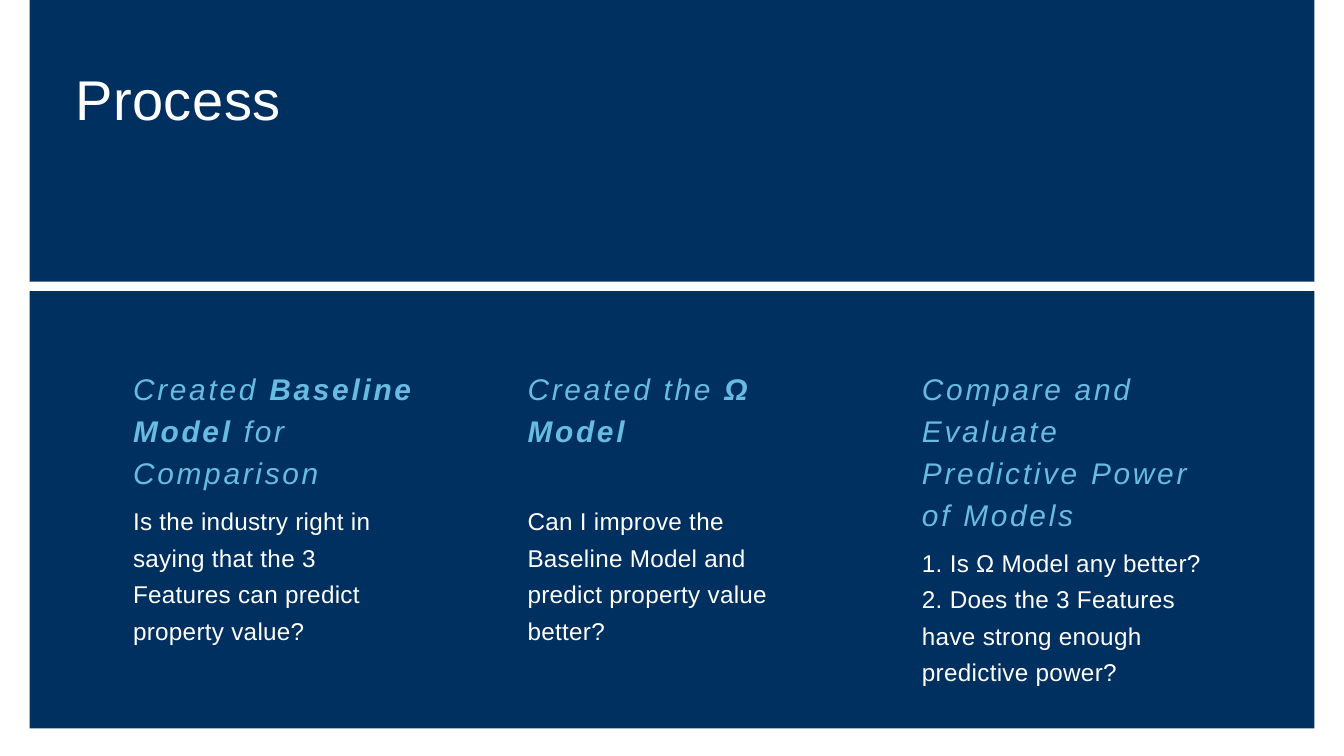
import pptx
import pptx.dml.color
import pptx.enum.shapes
import pptx.util
from dataclasses import dataclass
from pptx.util import Inches


@dataclass(frozen=True)
class Theme:
    font: str = "Arial"
    navy: str = "003060"
    white: str = "FFFFFF"
    sky: str = "68BBE3"
    title_size: float = 60
    heading_size: float = 32
    body_size: float = 26


THEME = Theme()

# Each column: heading runs as (text, bold), heading height, body paragraphs
COLUMNS = [
    ([("Created ", False), ("Baseline Model", True), (" for Comparison", False)], 1.8,
     ["Is the industry right in saying that the 3 Features can predict property value?"]),
    ([("Created the ", False), ("Ω Model", True)], 1.8,
     ["Can I improve the Baseline Model and predict property value better?"]),
    ([("Compare and Evaluate Predictive Power of Models", False)], 2.42,
     ["1. Is Ω Model any better?",
      "2. Does the 3 Features have strong enough predictive power?"]),
]


def add_panel(page, left, top, width, height, color):
    panel = page.shapes.add_shape(
        pptx.enum.shapes.MSO_SHAPE.RECTANGLE,
        Inches(left), Inches(top), Inches(width), Inches(height))
    panel.shadow.inherit = False
    panel.fill.solid()
    panel.fill.fore_color.rgb = pptx.dml.color.RGBColor.from_string(color)
    panel.line.fill.background()


def add_text(shapes, paragraphs, left, top, width, height, *, size, color,
             leading, tracking, italic=False):
    """Place paragraphs, each a list of (text, bold) runs."""
    box = shapes.add_textbox(Inches(left), Inches(top), Inches(width), Inches(height))
    frame = box.text_frame
    frame.word_wrap = True
    frame.margin_left = frame.margin_top = frame.margin_right = frame.margin_bottom = 0
    for index, runs in enumerate(paragraphs):
        para = frame.add_paragraph() if index else frame.paragraphs[0]
        para.line_spacing = pptx.util.Pt(leading)
        for text, bold in runs:
            span = para.add_run()
            span.text = text
            span.font.name = THEME.font
            span.font.size = pptx.util.Pt(size)
            span.font.bold = bold
            span.font.italic = italic
            span.font.color.rgb = pptx.dml.color.RGBColor.from_string(color)
            # Letter spacing is stored in hundredths of a point
            span._r.get_or_add_rPr().set("spc", str(round(tracking * 100)))


def add_title(page, left, top, width, height):
    add_text(page.shapes, [[("Process", False)]], left, top, width, height,
             size=THEME.title_size, color=THEME.white, leading=75, tracking=0.6)


def add_column(page, column, left, top, width):
    heading, heading_height, body = column
    group = page.shapes.add_group_shape()
    add_text(group.shapes, [heading], left, top, width, heading_height,
             size=THEME.heading_size, color=THEME.sky, leading=44.8,
             tracking=2.9, italic=True)
    add_text(group.shapes, [[(line, False)] for line in body],
             left, top + heading_height + 0.2, width, 2.13,
             size=THEME.body_size, color=THEME.white, leading=39, tracking=0.3)


def add_columns(page, left, top, width, pitch):
    for index, column in enumerate(COLUMNS):
        add_column(page, column, left + index * pitch, top, width)


def main():
    deck = pptx.Presentation()
    deck.slide_width, deck.slide_height = Inches(20), Inches(11.25)
    page = deck.slides.add_slide(deck.slide_layouts[6])

    # Navy background with the title
    add_panel(page, 0.44, 0, 19.12, 10.84, THEME.navy)
    add_title(page, 1.12, 0.92, 14.05, 1.04)

    # White divider above the three steps
    add_panel(page, 0.28, 4.19, 19.43, 0.14, THEME.white)
    add_columns(page, 1.98, 5.43, 4.29, 5.87)

    deck.save("out.pptx")


if __name__ == "__main__":
    main()
